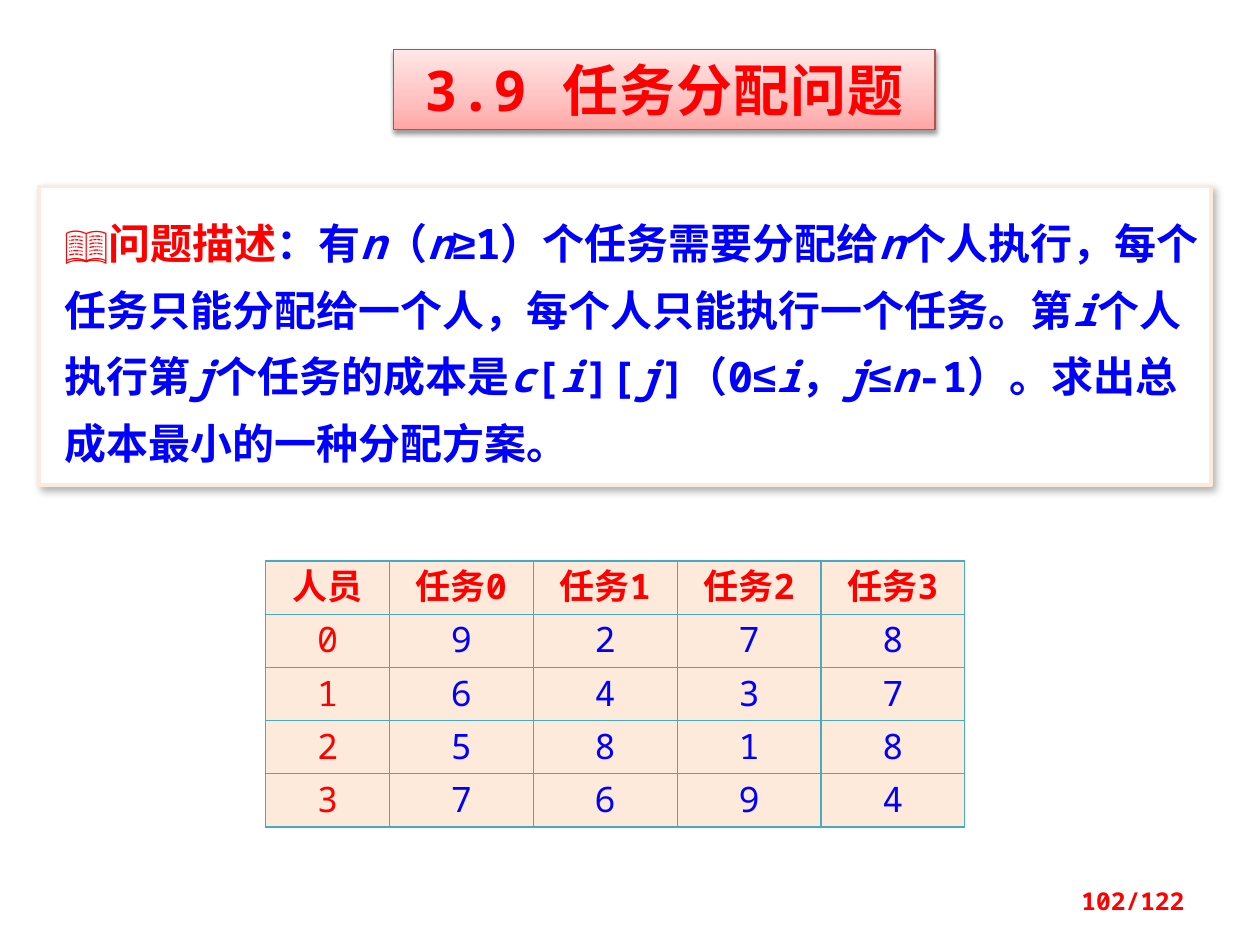
from dataclasses import dataclass
from itertools import groupby

from lxml.etree import fromstring
from pptx import Presentation
from pptx.dml.color import RGBColor
from pptx.enum.shapes import MSO_SHAPE
from pptx.enum.text import MSO_ANCHOR, PP_ALIGN
from pptx.util import Pt

NS = 'xmlns:a="http://schemas.openxmlformats.org/drawingml/2006/main"'


@dataclass(frozen=True)
class Theme:
    font: str = "Noto Sans Mono"
    symbol_font: str = "Arial"
    red: str = "FF0000"
    blue: str = "0000FF"
    white: str = "FFFFFF"
    cream: str = "FDEADA"
    title_line: str = "BF4C48"
    grid: str = "46AAC5"
    title_stops: tuple = ((0, "FFA6A5"), (35, "FFC0BF"), (100, "FFE7E7"))
    title_size: int = 32
    body_size: int = 24
    table_size: int = 20
    page_size: int = 14


T = Theme()
DESCRIPTION = (
    "：有n（n≥1）个任务需要分配给n个人执行，每个任务只能分配给一个人，"
    "每个人只能执行一个任务。第i个人执行第j个任务的成本是c[i][j]"
    "（0≤i，j≤n-1）。求出总成本最小的一种分配方案。"
)
COSTS = [[9, 2, 7, 8], [6, 4, 3, 7], [5, 8, 1, 8], [7, 6, 9, 4]]


def color(value):
    return RGBColor.from_string(value)


def style(p, size, fill=None, bold=True, align=PP_ALIGN.LEFT):
    p.alignment = align
    p.font.size = Pt(size)
    p.font.bold = bold
    p.font.name = T.font
    if fill:
        p.font.color.rgb = color(fill)


def add_panel(s, box, line, width, blur, dist, angle, alpha):
    sp = s.shapes.add_shape(MSO_SHAPE.RECTANGLE, *map(Pt, box))
    sp.fill.solid()
    sp.fill.fore_color.rgb = color(T.white)
    sp.line.color.rgb = color(line)
    sp.line.width = Pt(width)
    sp._element.spPr.append(fromstring(
        f'<a:effectLst {NS}><a:outerShdw blurRad="{Pt(blur)}" dist="{Pt(dist)}" '
        f'dir="{angle * 60000}" rotWithShape="0"><a:srgbClr val="000000">'
        f'<a:alpha val="{alpha * 1000}"/></a:srgbClr></a:outerShdw></a:effectLst>'))
    sp.text_frame.word_wrap = True
    sp.text_frame.vertical_anchor = MSO_ANCHOR.TOP
    return sp


def add_title(s, box, text):
    sp = add_panel(s, box, T.title_line, 0.75, 3.1, 1.6, 90, 38)
    stops = "".join(f'<a:gs pos="{pos * 1000}"><a:srgbClr val="{c}"/></a:gs>'
                    for pos, c in T.title_stops)
    spPr = sp._element.spPr
    spPr.replace(spPr.find("{*}solidFill"), fromstring(
        f'<a:gradFill {NS} rotWithShape="1"><a:gsLst>{stops}</a:gsLst>'
        '<a:lin ang="16200000" scaled="0"/></a:gradFill>'))
    p = sp.text_frame.paragraphs[0]
    style(p, T.title_size, T.red, align=PP_ALIGN.CENTER)
    r = p.add_run()
    r.text = text
    r.font._element.set("spc", "50")


def char_style(ch):
    return ch in "nijc", ch in "≤≥"


def add_description(s, box, label, text):
    sp = add_panel(s, box, T.cream, 2, 4.5, 2.6, 53, 30)
    tf = sp.text_frame
    tf.margin_left = Pt(14.4)
    tf.margin_top = tf.margin_bottom = Pt(8.64)
    p = tf.paragraphs[0]
    style(p, T.body_size)
    p.line_spacing = Pt(38)
    r = p.add_run()
    r.text = label
    r.font.color.rgb = color(T.red)
    for (italic, symbol), chars in groupby(text, char_style):
        r = p.add_run()
        r.text = "".join(chars)
        r.font.color.rgb = color(T.blue)
        if italic:
            r.font.italic = True
        if symbol:
            r.font.name = T.symbol_font


def fill_cell(cell, text, fill, bold):
    tcPr = cell._tc.get_or_add_tcPr()
    for side in ("lnL", "lnR", "lnT", "lnB"):
        tcPr.append(fromstring(
            f'<a:{side} {NS} w="{Pt(0.75)}"><a:solidFill>'
            f'<a:srgbClr val="{T.grid}"/></a:solidFill></a:{side}>'))
    cell.fill.solid()
    cell.fill.fore_color.rgb = color(T.cream)
    cell.margin_left = cell.margin_right = Pt(5)
    cell.margin_top = cell.margin_bottom = 0
    p = cell.text_frame.paragraphs[0]
    p.text = str(text)
    p.line_spacing = Pt(28)
    style(p, T.table_size, fill, bold, PP_ALIGN.CENTER)


def add_costs(s, box, costs):
    n = len(costs)
    x, y, w, h = box
    first = 70.8
    frame = s.shapes.add_table(n + 1, n + 1, *map(Pt, box))
    table = frame.table
    table.horz_banding = table.first_row = False
    for j, col in enumerate(table.columns):
        col.width = Pt((w - first) / n if j else first)
    for row in table.rows:
        row.height = Pt(h / (n + 1))
    header = ["人员"] + [f"任务{j}" for j in range(n)]
    rows = [header] + [[i] + row for i, row in enumerate(costs)]
    for i, row in enumerate(rows):
        for j, value in enumerate(row):
            fill = T.blue if i and j else T.red
            fill_cell(table.cell(i, j), value, fill, i == 0)


def add_page_number(s, box, text):
    tf = s.shapes.add_textbox(*map(Pt, box)).text_frame
    tf.word_wrap = True
    tf.vertical_anchor = MSO_ANCHOR.MIDDLE
    p = tf.paragraphs[0]
    p.text = text
    style(p, T.page_size, T.red, align=PP_ALIGN.RIGHT)


def main():
    prs = Presentation()
    prs.slide_width, prs.slide_height = Pt(720), Pt(540)
    s = prs.slides.add_slide(prs.slide_layouts[6])
    add_title(s, (224.8, 28.2, 309.6, 46), "3.9 任务分配问题")
    add_description(s, (22.4, 106.6, 669.6, 170.6), "📖问题描述", DESCRIPTION)
    add_costs(s, (151.8, 320.6, 399.6, 152), COSTS)
    add_page_number(s, (516, 500.5, 168, 28.8), "102/122")
    prs.save("out.pptx")


if __name__ == "__main__":
    main()
